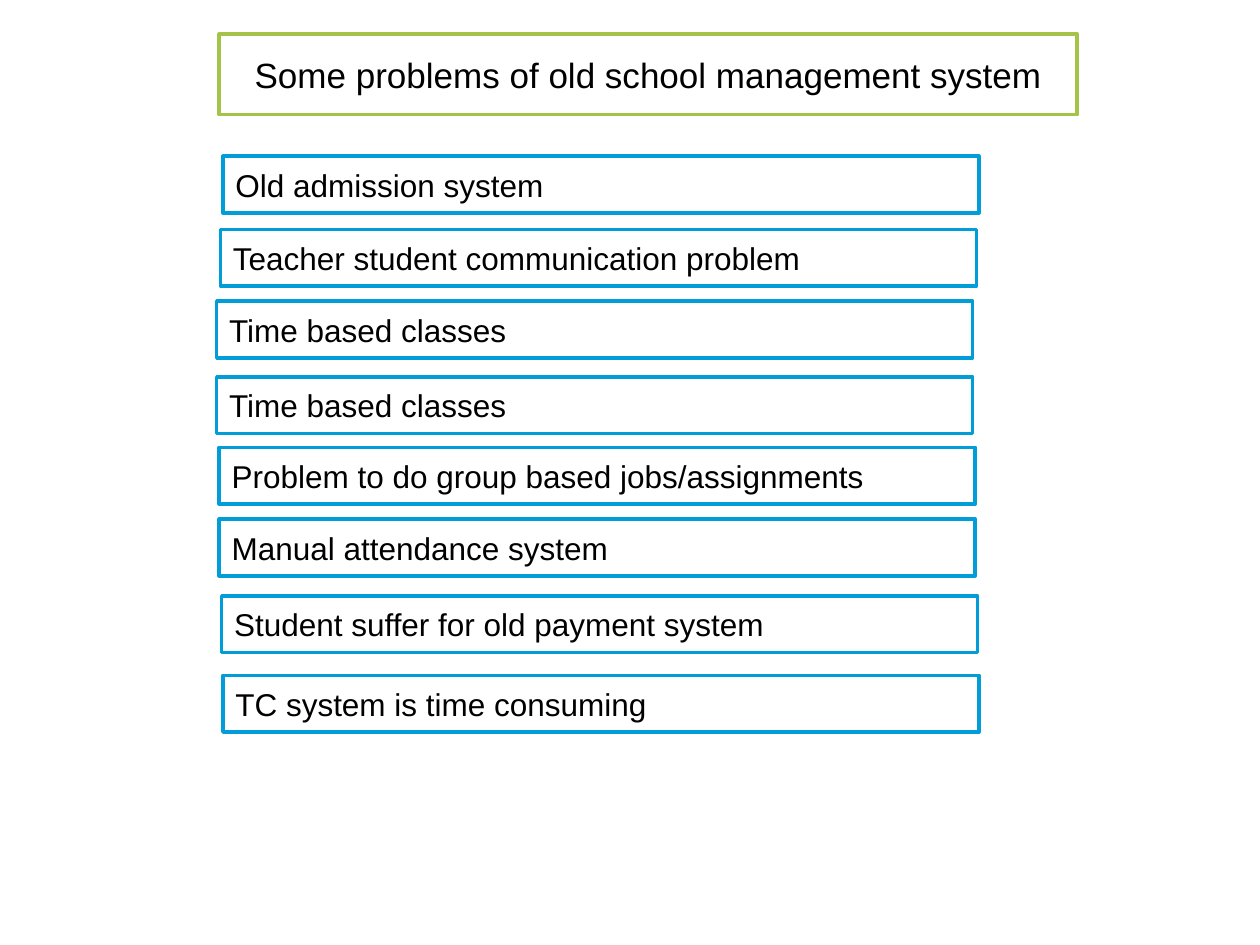
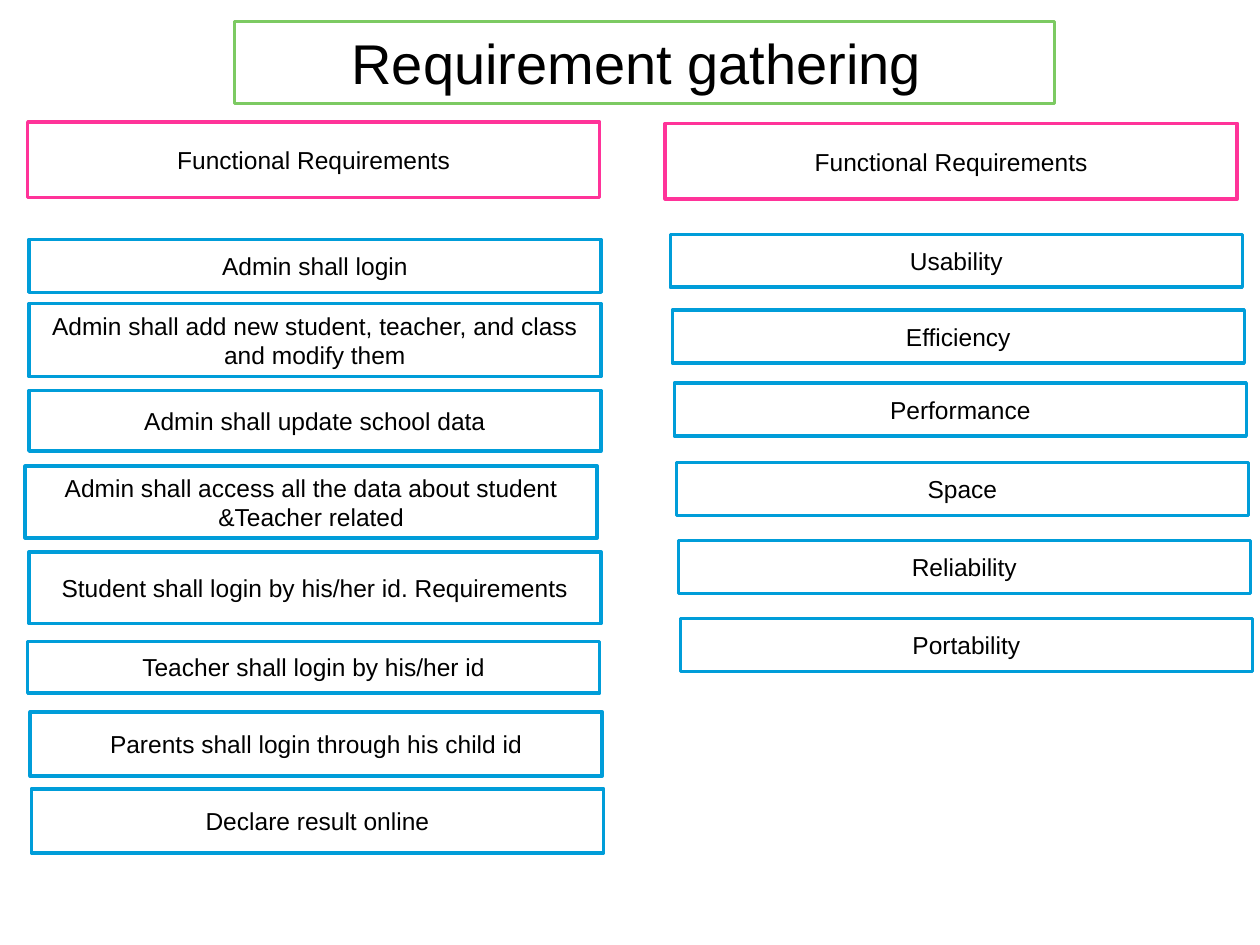
from pptx import Presentation
from pptx.dml.color import RGBColor
from pptx.enum.shapes import MSO_SHAPE
from pptx.enum.text import MSO_ANCHOR, MSO_AUTO_SIZE, PP_ALIGN
from pptx.util import Inches, Pt

RECT = MSO_SHAPE.RECTANGLE
MIDDLE = MSO_ANCHOR.MIDDLE
NO_FIT = MSO_AUTO_SIZE.NONE
LEFT, CENTER = PP_ALIGN.LEFT, PP_ALIGN.CENTER

WHITE = RGBColor(0xFF, 0xFF, 0xFF)
BLACK = RGBColor(0x00, 0x00, 0x00)
OLIVE = RGBColor(0xA5, 0xC2, 0x49)
GREEN = RGBColor(0x7C, 0xCA, 0x62)
BLUE = RGBColor(0x00, 0x9D, 0xD9)
PINK = RGBColor(0xFF, 0x33, 0x99)
FONT = "Arial"


def outline_box(sp, text, border, size, align=CENTER, fill=WHITE):
    """Give a shape its fill and border, and one line of black text."""
    if fill is None:
        sp.fill.background()
    else:
        sp.fill.solid()
        sp.fill.fore_color.rgb = fill
    sp.line.color.rgb = border
    sp.line.width = Pt(2)
    tf = sp.text_frame
    tf.word_wrap = True
    tf.auto_size = NO_FIT
    tf.vertical_anchor = MIDDLE
    p = tf.paragraphs[0]
    p.alignment = align
    r = p.add_run()
    r.text = text
    r.font.name = FONT
    r.font.size = Pt(size)
    r.font.color.rgb = BLACK


def add_box(slide, left, top, width, height, text, border, size, **style):
    sp = slide.shapes.add_shape(RECT, Inches(left), Inches(top),
                                Inches(width), Inches(height))
    sp.shadow.inherit = False
    outline_box(sp, text, border, size, **style)


prs = Presentation()
prs.slide_width, prs.slide_height = Inches(10), Inches(7.5)

# Both slides open with a framed title
titles = [
    ("Some problems of old school management system", OLIVE, 20,
     (1.74, 0.27, 6.81, 0.64)),
    ("Requirement gathering ", GREEN, 32, (1.86, 0.17, 6.51, 0.65)),
]
slides = []
for text, border, size, place in titles:
    slide = prs.slides.add_slide(prs.slide_layouts[5])
    title = slide.shapes.title
    title.left, title.top, title.width, title.height = map(Inches, place)
    outline_box(title, text, border, size)
    slides.append(slide)
problem_slide, requirement_slide = slides

# Slide 1: problems as (left, top, text)
problems = [
    (1.77, 1.24, "Old admission system"),
    (1.75, 1.82, "Teacher student communication problem"),
    (1.72, 2.39, "Time based classes"),
    (1.72, 2.99, "Time based classes"),
    (1.74, 3.55, "Problem to do group based jobs/assignments"),
    (1.74, 4.12, "Manual attendance system"),
    (1.76, 4.73, "Student suffer for old payment system"),
    (1.77, 5.36, "TC system is time consuming"),
]
for left, top, text in problems:
    add_box(problem_slide, left, top, 6, 0.45, text, BLUE, 18, align=LEFT)

# Slide 2: two columns of requirements under pink headings
COLUMN_W = 4.54
for left, top in [(0.22, 0.97), (5.28, 0.98)]:
    add_box(requirement_slide, left, top, COLUMN_W, 0.6,
            "Functional Requirements", PINK, 14, fill=None)

# Left column as (left, top, height, text)
functions = [
    (0.23, 1.9, 0.42, "Admin shall login"),
    (0.23, 2.41, 0.58,
     "Admin shall add new student, teacher, and class and modify them"),
    (0.23, 3.1, 0.48, "Admin shall update school data"),
    (0.2, 3.7, 0.57,
     "Admin shall access all the data about student &Teacher related"),
    (0.23, 4.38, 0.57, "Student shall login by his/her id. Requirements"),
    (0.22, 5.09, 0.41, "Teacher shall login by his/her id"),
    (0.24, 5.65, 0.51, "Parents shall login through his child id"),
    (0.25, 6.26, 0.51, "Declare result online"),
]
for left, top, height, text in functions:
    add_box(requirement_slide, left, top, COLUMN_W, height, text, BLUE, 14)

# Right column steps evenly to the right, from 5.32 to 5.40
qualities = [
    (1.86, "Usability"),
    (2.46, "Efficiency"),
    (3.04, "Performance"),
    (3.67, "Space"),
    (4.29, "Reliability"),
    (4.91, "Portability"),
]
step = (5.4 - 5.32) / (len(qualities) - 1)
for i, (top, text) in enumerate(qualities):
    add_box(requirement_slide, 5.32 + i * step, top, COLUMN_W, 0.42,
            text, BLUE, 14)

prs.save("out.pptx")
